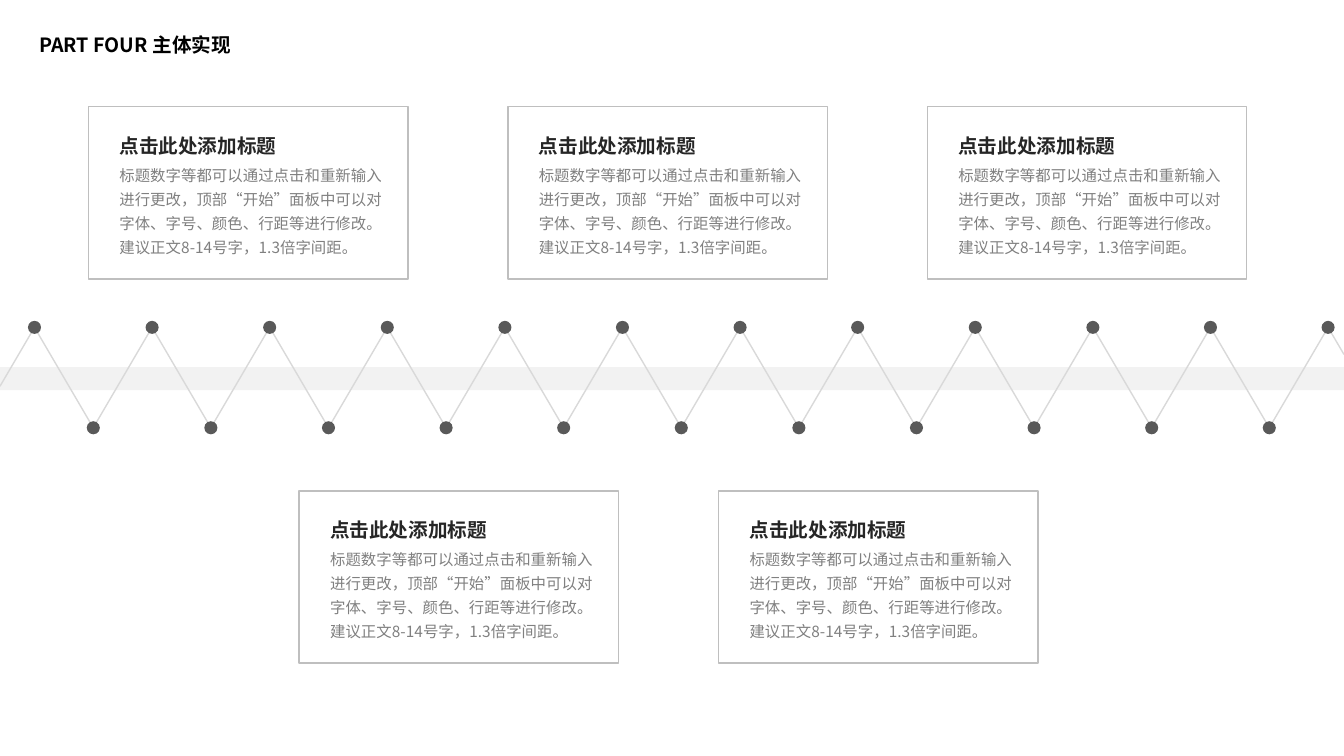
from lxml import etree
from pptx import Presentation
from pptx.dml.color import RGBColor
from pptx.enum.shapes import MSO_SHAPE
from pptx.enum.text import MSO_ANCHOR
from pptx.oxml.ns import qn
from pptx.util import Cm, Pt

RECT, OVAL = MSO_SHAPE.RECTANGLE, MSO_SHAPE.OVAL
TOP, MIDDLE = MSO_ANCHOR.TOP, MSO_ANCHOR.MIDDLE

BLACK = RGBColor(0x00, 0x00, 0x00)
HEADING = RGBColor(0x26, 0x26, 0x26)
BODY = RGBColor(0x80, 0x80, 0x80)
DOT = RGBColor(0x59, 0x59, 0x59)
BORDER = RGBColor(0xBF, 0xBF, 0xBF)
ZIGZAG = RGBColor(0xD9, 0xD9, 0xD9)
BAND = RGBColor(0xF2, 0xF2, 0xF2)

CJK_FONT = "Noto Sans CJK SC"
HEADING_FONT = "Cabin"

SLIDE_W, SLIDE_H = 33.87, 19.05
CARD_W, CARD_H, CARD_PITCH = 8.05, 4.34, 10.57
PEAK_Y, VALLEY_Y, DOT_D = 8.25, 10.78, 0.33
FIRST_X, LAST_X, STEPS = 0.87, 33.47, 22

CARD_TITLE = "点击此处添加标题"
CARD_TEXT = (
    "标题数字等都可以通过点击和重新输入进行更改，顶部“开始”面板中可以对"
    "字体、字号、颜色、行距等进行修改。建议正文8-14号字，1.3倍字间距。"
)


class Deck:
    """Draws styled elements on the current slide, in centimetres."""

    def __init__(self):
        self.prs = Presentation()
        self.prs.slide_width, self.prs.slide_height = Cm(SLIDE_W), Cm(SLIDE_H)
        self.s = self.prs.slides.add_slide(self.prs.slide_layouts[6])

    def paint(self, sp, fill=None, line=None):
        sp.shadow.inherit = False
        if fill is None:
            sp.fill.background()
        else:
            sp.fill.solid()
            sp.fill.fore_color.rgb = fill
        if line is None:
            sp.line.fill.background()
        else:
            sp.line.color.rgb = line
            sp.line.width = Pt(1)

    def shape(self, kind, x, y, w, h, fill=None, line=None):
        sp = self.s.shapes.add_shape(kind, Cm(x), Cm(y), Cm(w), Cm(h))
        self.paint(sp, fill, line)

    def polyline(self, points, color):
        start, *rest = [(Cm(x), Cm(y)) for x, y in points]
        builder = self.s.shapes.build_freeform(*start)
        builder.add_line_segments(rest, close=False)
        self.paint(builder.convert_to_shape(), line=color)

    def text(self, x, y, w, h, text, size, color, font=CJK_FONT, bold=False,
             spacing=1.0, before=0, anchor=TOP):
        tf = self.s.shapes.add_textbox(Cm(x), Cm(y), Cm(w), Cm(h)).text_frame
        tf.word_wrap = True
        tf.vertical_anchor = anchor
        tf.text = text
        p = tf.paragraphs[0]
        p.line_spacing = spacing
        p.space_before = Pt(before)
        r = p.runs[0]
        r.font.name, r.font.size, r.font.bold = font, Pt(size), bold
        r.font.color.rgb = color
        ea = etree.SubElement(r.font._element, qn("a:ea"))
        ea.set("typeface", CJK_FONT)

    def card(self, x, y):
        self.shape(RECT, x, y, CARD_W, CARD_H, line=BORDER)
        self.text(x + 0.53, y + 0.56, 5.49, 0.86, CARD_TITLE, 14, HEADING,
                  font=HEADING_FONT, bold=True)
        self.text(x + 0.53, y + 1.24, 7.42, 3.3, CARD_TEXT, 11, BODY,
                  spacing=1.3)

    def timeline(self):
        self.shape(RECT, 0, 9.25, SLIDE_W, 0.58, fill=BAND)
        step = (LAST_X - FIRST_X) / STEPS
        nodes = [(FIRST_X + i * step, VALLEY_Y if i % 2 else PEAK_Y)
                 for i in range(STEPS + 1)]
        slope = (VALLEY_Y - PEAK_Y) / step
        left_end = (0, PEAK_Y + slope * FIRST_X)
        right_end = (SLIDE_W, PEAK_Y + slope * (SLIDE_W - LAST_X))
        self.polyline([left_end, *nodes, right_end], ZIGZAG)
        for x, y in nodes:
            self.shape(OVAL, x - DOT_D / 2, y - DOT_D / 2, DOT_D, DOT_D,
                       fill=DOT)


def main():
    deck = Deck()
    deck.text(0.74, 0.61, 9.17, 1.09, "PART FOUR 主体实现", 14, BLACK,
              bold=True, spacing=0.9, before=10, anchor=MIDDLE)
    deck.timeline()
    for left, top, count in ((2.23, 2.69, 3), (7.54, 12.37, 2)):
        for i in range(count):
            deck.card(left + i * CARD_PITCH, top)
    deck.prs.save("out.pptx")


if __name__ == "__main__":
    main()
